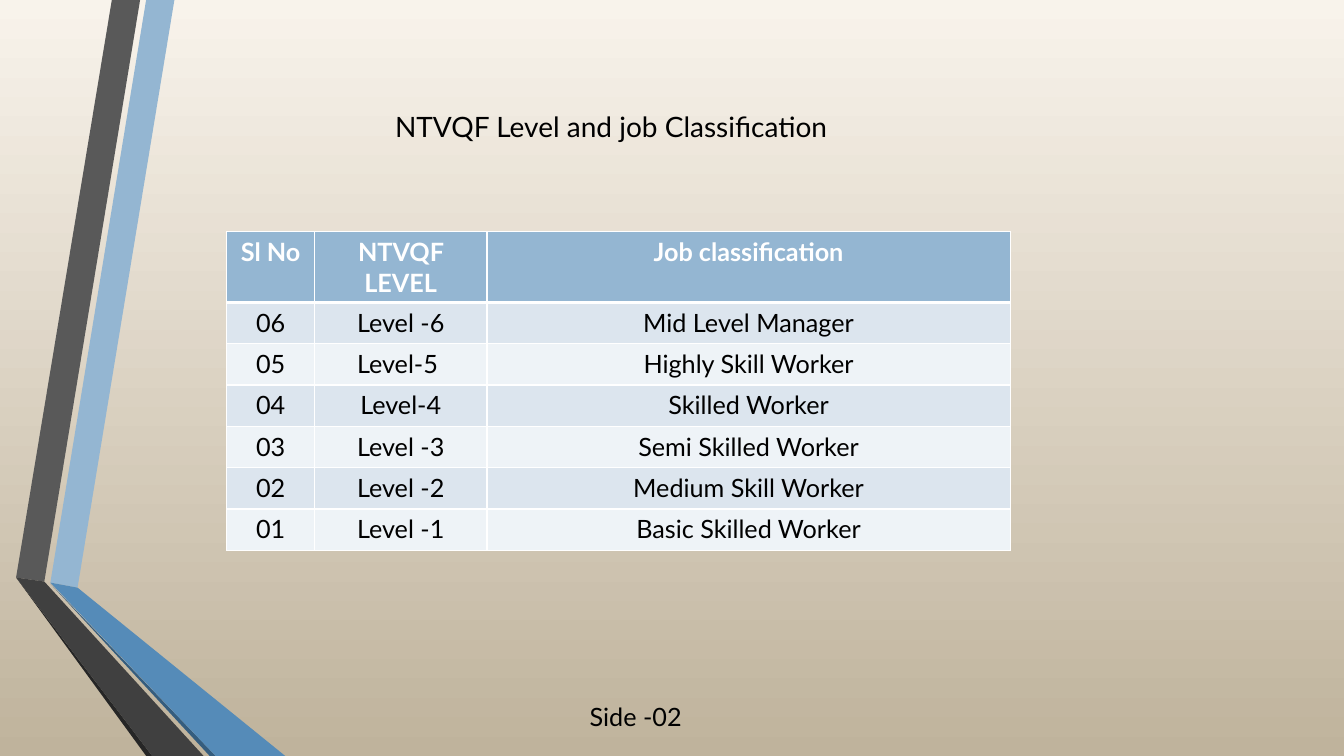
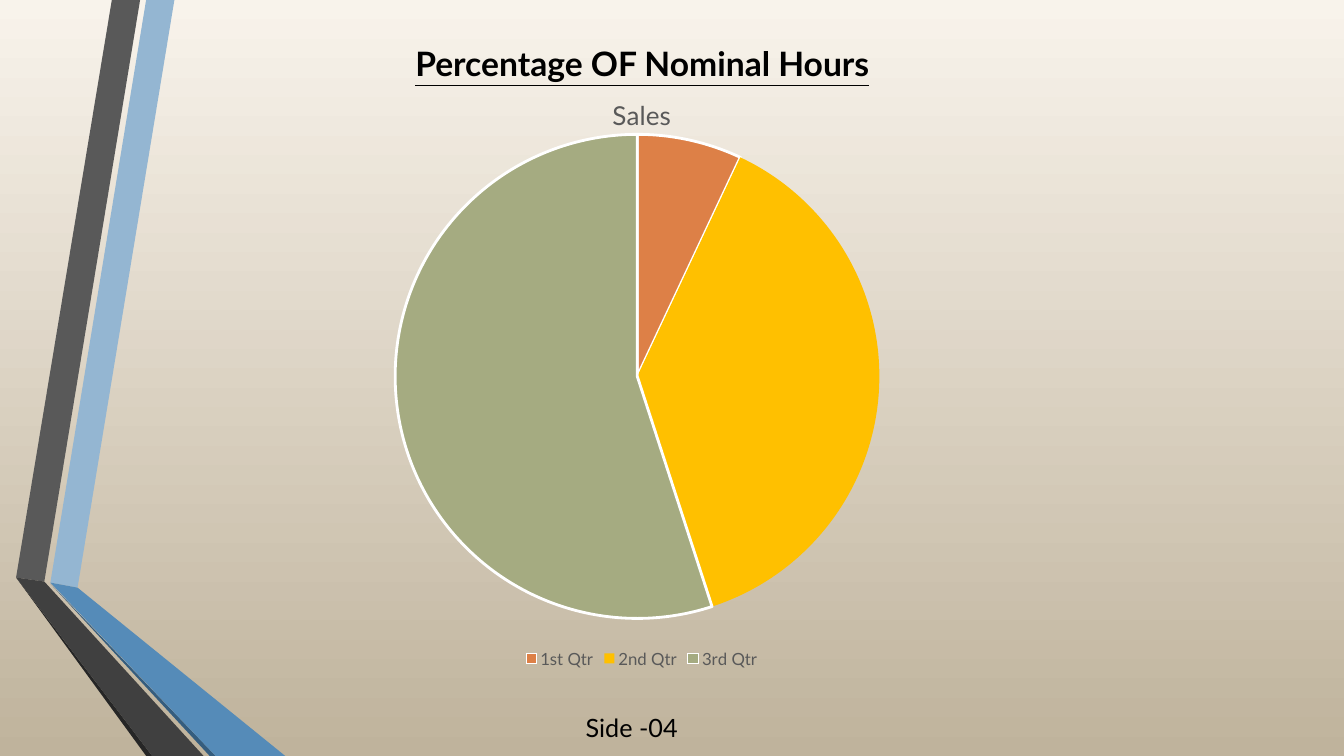
"""Build two training slides: a table of job levels and a pie of nominal hours."""
from lxml import etree
from pptx import Presentation
from pptx.chart.data import CategoryChartData
from pptx.dml.color import RGBColor
from pptx.enum.chart import XL_CHART_TYPE, XL_LEGEND_POSITION
from pptx.enum.text import PP_ALIGN
from pptx.oxml import parse_xml
from pptx.oxml.ns import nsdecls, qn
from pptx.util import Inches, Pt

LEFT, CENTER = PP_ALIGN.LEFT, PP_ALIGN.CENTER
PIE, LEGEND_BOTTOM = XL_CHART_TYPE.PIE, XL_LEGEND_POSITION.BOTTOM
FONT = "Lato"

COLORS = {
    "sky_top": "F8F3EB", "sky_bottom": "BFB39C",
    "light_blue": "94B6D2", "blue": "558BB8", "deep_blue": "355D7E",
    "gray": "595959", "dark_gray": "404040", "near_black": "262626",
    "black": "000000", "white": "FFFFFF",
    "row_odd": "DCE5EE", "row_even": "EEF3F7",
    "orange": "DD8047", "gold": "FFC000", "sage": "A5AB81",
}

RIBBONS = [
    ("light_blue", [(0.5, 5.78), (0.77, 5.83), (1.73, 0), (1.45, 0)]),
    ("gray", [(1.39, 0), (1.11, 0), (0.16, 5.73), (0.44, 5.77)]),
    ("near_black", [(0.16, 5.73), (1.45, 7.5), (1.51, 7.5)]),
    ("deep_blue", [(0.5, 5.79), (2.08, 7.5), (2.14, 7.5)]),
    ("blue", [(0.5, 5.78), (2.14, 7.5), (2.83, 7.5), (0.77, 5.83)]),
    ("dark_gray", [(2.02, 7.5), (0.44, 5.77), (0.16, 5.73), (1.51, 7.5)]),
]

LEVELS = {
    "title": "NTVQF Level and job Classification",
    "header": ("Sl No", "NTVQF LEVEL", "Job classification"),
    "rows": [
        ("06", "Level -6", "Mid Level Manager"),
        ("05", "Level-5 ", "Highly Skill Worker"),
        ("04", "Level-4", "Skilled Worker"),
        ("03", "Level -3", "Semi Skilled Worker"),
        ("02", "Level -2", "Medium Skill Worker"),
        ("01", "Level -1", "Basic Skilled Worker"),
    ],
    "widths": (0.87, 1.71, 5.19),
    "footer": "Side -02",
}

HOURS = {
    "title": "Percentage OF Nominal Hours",
    "series": "Sales",
    "slices": [("1st Qtr", 7, "orange", True), ("2nd Qtr", 38, "gold", False),
               ("3rd Qtr", 55, "sage", True)],
    "plot": {"x": 0.01, "y": 0.1, "w": 0.97, "h": 0.81},
    "footer": "Side -04",
}


def rgb(name):
    return RGBColor.from_string(COLORS[name])


def style_font(font, size, color="black", bold=False, underline=False):
    font.name, font.size = FONT, Pt(size)
    font.bold, font.underline = bold, underline
    font.color.rgb = rgb(color)


def write_text(frame, text, align=LEFT, **style):
    frame.word_wrap = True
    paragraph = frame.paragraphs[0]
    paragraph.alignment = align
    run = paragraph.add_run()
    run.text = text
    style_font(run.font, **style)


def add_label(slide, text, left, top, width, height, **style):
    box = slide.shapes.add_textbox(*map(Inches, (left, top, width, height)))
    write_text(box.text_frame, text, **style)


def add_slide(deck):
    slide = deck.slides.add_slide(deck.slide_layouts[6])
    sky = slide.background.fill
    sky.gradient()
    sky.gradient_angle = 270
    for stop, color in zip(sky.gradient_stops, ("sky_top", "sky_bottom")):
        stop.color.rgb = rgb(color)
    for color, corners in RIBBONS:
        start, *others = [(Inches(x), Inches(y)) for x, y in corners]
        outline = slide.shapes.build_freeform(*start)
        outline.add_line_segments(others, close=True)
        ribbon = outline.convert_to_shape()
        ribbon.shadow.inherit = False
        ribbon.fill.solid()
        ribbon.fill.fore_color.rgb = rgb(color)
        ribbon.line.fill.background()
    return slide


def set_borders(cell, bottom):
    properties = cell._tc.get_or_add_tcPr()
    for index, (side, points) in enumerate(
            (("L", 1), ("R", 1), ("T", 1), ("B", bottom))):
        properties.insert(index, parse_xml(
            f'<a:ln{side} {nsdecls("a")} w="{Pt(points)}"><a:solidFill>'
            f'<a:srgbClr val="{COLORS["white"]}"/></a:solidFill></a:ln{side}>'))


def add_level_table(slide):
    rows = [LEVELS["header"], *LEVELS["rows"]]
    widths, row_height = LEVELS["widths"], 0.41
    table = slide.shapes.add_table(
        len(rows), len(widths), Inches(2.25), Inches(2.3),
        Inches(sum(widths)), Inches(row_height * len(rows))).table
    for column, width in zip(table.columns, widths):
        column.width = Inches(width)
    for r, row in enumerate(rows):
        table.rows[r].height = Inches(row_height)
        is_header = r == 0
        fill = "light_blue" if is_header else ("row_even", "row_odd")[r % 2]
        for c, text in enumerate(row):
            cell = table.cell(r, c)
            cell.fill.solid()
            cell.fill.fore_color.rgb = rgb(fill)
            set_borders(cell, bottom=3 if is_header else 1)
            write_text(cell.text_frame, text, align=CENTER, size=18, bold=is_header,
                       color="white" if is_header else "black")


def set_plot_layout(chart, plot):
    area = chart.element.find(".//" + qn("c:plotArea"))
    for old in area.findall(qn("c:layout")):
        area.remove(old)
    layout = etree.Element(qn("c:layout"))
    manual = etree.SubElement(layout, qn("c:manualLayout"))
    settings = {"layoutTarget": "inner", "xMode": "edge", "yMode": "edge", **plot}
    for tag, value in settings.items():
        etree.SubElement(manual, qn("c:" + tag)).set("val", str(value))
    area.insert(0, layout)


def add_hours_pie(slide):
    names, values, colors, outlined = zip(*HOURS["slices"])
    data = CategoryChartData()
    data.categories = names
    data.add_series(HOURS["series"], values)
    chart = slide.shapes.add_chart(
        PIE, Inches(1.92), Inches(0.74), Inches(8.89), Inches(5.93), data).chart
    style_font(chart.font, size=10)
    chart.has_title = True
    write_text(chart.chart_title.text_frame, HOURS["series"], align=CENTER,
               size=18.6, color="gray")
    chart.has_legend = True
    chart.legend.position = LEGEND_BOTTOM
    chart.legend.include_in_layout = False
    style_font(chart.legend.font, size=12, color="gray")
    pie = chart.plots[0]
    pie.vary_by_categories = True
    for index, (color, has_outline) in enumerate(zip(colors, outlined)):
        slice_format = pie.series[0].points[index].format
        slice_format.fill.solid()
        slice_format.fill.fore_color.rgb = rgb(color)
        if has_outline:
            slice_format.line.color.rgb = rgb("white")
            slice_format.line.width = Pt(2)
        else:
            slice_format.line.fill.background()
    set_plot_layout(chart, HOURS["plot"])


def main():
    deck = Presentation()
    deck.slide_width, deck.slide_height = Inches(13.33), Inches(7.5)

    levels = add_slide(deck)
    add_label(levels, LEVELS["title"], 3.82, 1.04, 7.04, 0.44, size=20)
    add_level_table(levels)
    add_label(levels, LEVELS["footer"], 5.75, 6.91, 2.43, 0.4, size=18)

    hours = add_slide(deck)
    add_label(hours, HOURS["title"], 3.21, 0.38, 6.32, 0.5, align=CENTER,
              size=24, bold=True, underline=True)
    add_hours_pie(hours)
    add_label(hours, HOURS["footer"], 5.71, 7.02, 1.62, 0.4, size=18)

    deck.save("out.pptx")


if __name__ == "__main__":
    main()
